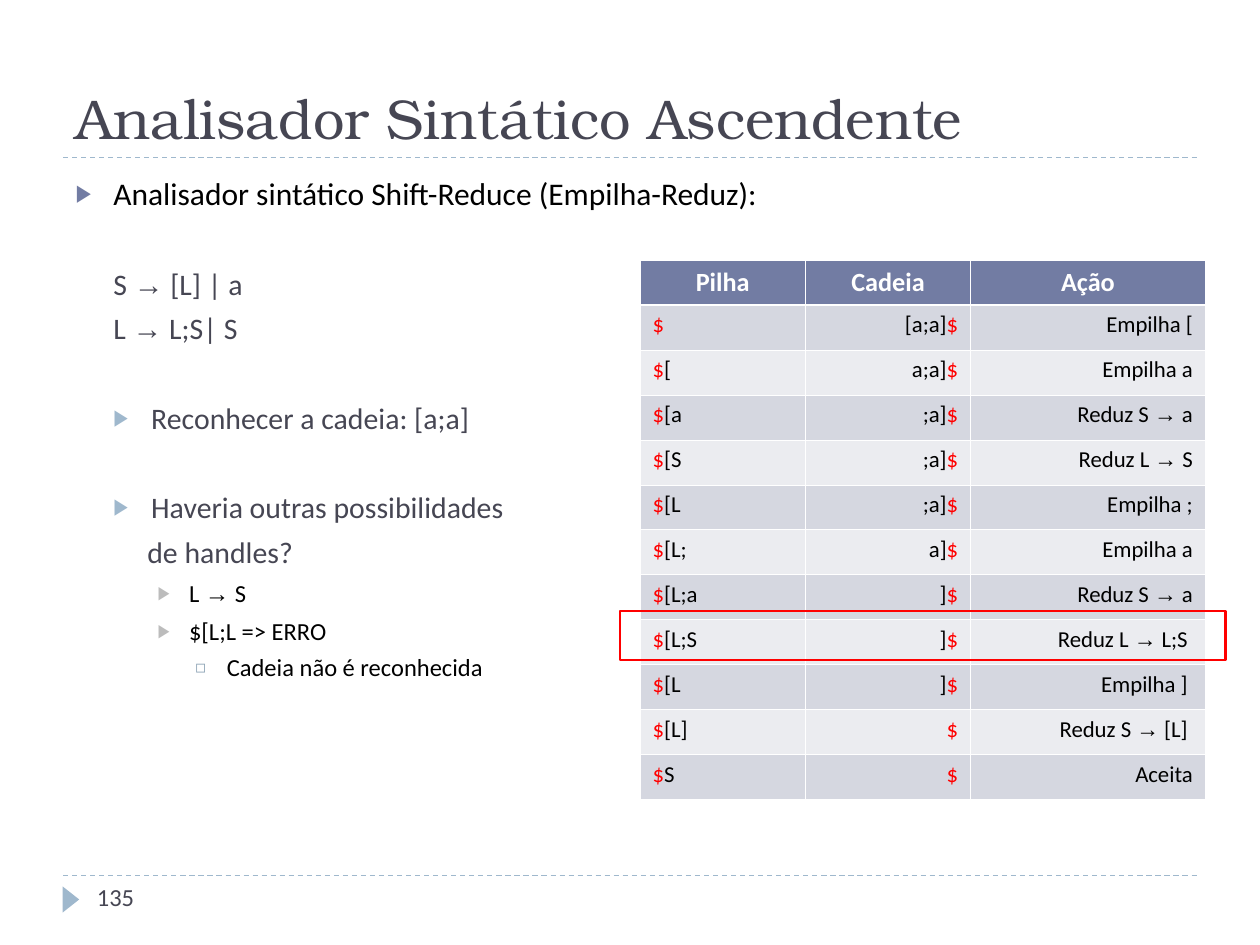
"""Build the slide on the ascending (shift-reduce) parser."""
import dataclasses
import itertools

import lxml.etree
import pptx
import pptx.dml.color
import pptx.enum.dml
import pptx.enum.shapes
import pptx.enum.text
import pptx.oxml.ns
import pptx.util

Pt = pptx.util.Pt
Align = pptx.enum.text.PP_ALIGN
Anchor = pptx.enum.text.MSO_ANCHOR
Shape = pptx.enum.shapes.MSO_SHAPE


@dataclasses.dataclass(frozen=True)
class Theme:
    serif: str = "TeX Gyre Bonum"
    sans: str = "Calibri"
    arrow: str = "Arial"
    ink: str = "464653"
    black: str = "000000"
    white: str = "FFFFFF"
    red: str = "FF0000"
    head: str = "727CA3"
    sky: str = "9FB8CD"
    gray: str = "BCBCBC"
    steel: str = "8BA2B4"
    bands: tuple = ("D5D7E0", "EBECF0")
    title: int = 32
    lead: int = 18
    item: int = 17
    small: int = 14
    header: int = 15
    cell: int = 13


T = Theme()

LIST = [
    ("Analisador sintático Shift-Reduce (Empilha-Reduz):",
     dict(level=0, left=21.6, hang=21.6, size=T.lead, color=T.black, mark=("▶", T.head, 76))),
    ("S → [L] | a", dict(left=21.6, before=30.75)),
    ("L → L;S| S", dict(left=21.6)),
    ("Reconhecer a cadeia: [a;a]",
     dict(left=43.2, hang=21.6, before=30.75, mark=("▶", T.sky, 76))),
    ("Haveria outras possibilidades",
     dict(left=43.2, hang=21.6, before=30.75, mark=("▶", T.sky, 76))),
    ("de handles?", dict(left=41)),
    ("L → S",
     dict(level=2, left=64.8, hang=18, size=T.small, color=T.black, mark=("▶", T.gray, 76))),
    ("$[L;L => ERRO",
     dict(level=2, left=64.8, hang=18, size=T.small, color=T.black, mark=("▶", T.gray, 76))),
    ("Cadeia não é reconhecida",
     dict(level=3, left=86.4, hang=18, before=4, size=T.small, color=T.black,
          mark=("◻", T.steel, 70))),
]

HEADS = ("Pilha", "Cadeia", "Ação")
STEPS = [
    ("$", "[a;a]$", "Empilha ["),
    ("$[", "a;a]$", "Empilha a"),
    ("$[a", ";a]$", "Reduz S → a"),
    ("$[S", ";a]$", "Reduz L → S"),
    ("$[L", ";a]$", "Empilha ;"),
    ("$[L;", "a]$", "Empilha a"),
    ("$[L;a", "]$", "Reduz S → a"),
    ("$[L;S", "]$", "Reduz L → L;S "),
    ("$[L", "]$", "Empilha ] "),
    ("$[L]", "$", "Reduz S → [L] "),
    ("$S", "$", "Aceita"),
]


def rgb(code):
    """Turn a hex code into a colour."""
    return pptx.dml.color.RGBColor.from_string(code)


def node(root, tag, **attrs):
    """Add a drawing element under root."""
    return lxml.etree.SubElement(root, pptx.oxml.ns.qn(tag), attrs)


def write(para, text, font=T.sans, size=T.item, color=T.ink, bold=False, align=None, end=None):
    """Fill a paragraph, giving arrows their own font and end signs their own colour."""
    para.alignment = align
    for sign, part in itertools.groupby(text, lambda c: c if c in "→$" else ""):
        run = para.add_run()
        run.text = "".join(part)
        run.font.name = T.arrow if sign == "→" else font
        run.font.size = Pt(size)
        run.font.bold = bold
        run.font.color.rgb = rgb(end if end and sign == "$" else color)


def place(shape, left, top, width, height):
    """Move and size a shape."""
    shape.left, shape.top = Pt(left), Pt(top)
    shape.width, shape.height = Pt(width), Pt(height)


def entry(para, text, level=1, left=0, hang=0, before=5, mark=None, **form):
    """Write one list entry with its indent, spacing and bullet."""
    para.level = level
    para.space_before = Pt(before)
    para.line_spacing = 1.0
    props = para._p.get_or_add_pPr()
    props.set("marL", str(Pt(left)))
    props.set("indent", str(-Pt(hang)))
    if mark:
        sign, color, scale = mark
        node(node(props, "a:buClr"), "a:srgbClr", val=color)
        node(props, "a:buSzPct", val=str(scale * 1000))
        node(props, "a:buFont", typeface=T.arrow)
        node(props, "a:buChar", char=sign)
    else:
        node(props, "a:buNone")
    write(para, text, **form)


def fill_list(body):
    """Put the list into the body placeholder."""
    place(body, 36, 95.75, 579, 395)
    frame = body.text_frame
    frame.auto_size = pptx.enum.text.MSO_AUTO_SIZE.NONE
    frame.vertical_anchor = Anchor.TOP
    for i, (text, form) in enumerate(LIST):
        para = frame.add_paragraph() if i else frame.paragraphs[0]
        entry(para, text, **({} if i else {"before": 0}), **form)


def rule(slide, y):
    """Draw a dashed line across the slide."""
    line = slide.shapes.add_connector(
        pptx.enum.shapes.MSO_CONNECTOR.STRAIGHT, Pt(36), Pt(y), Pt(684), Pt(y))
    line.line.color.rgb = rgb(T.sky)
    line.line.width = Pt(0.75)
    line.line.dash_style = pptx.enum.dml.MSO_LINE.DASH
    node(line._element.spPr, "a:effectLst")


def shape(slide, kind, box, fill=None, line=None, turn=0):
    """Add a preset shape with an optional fill and outline."""
    item = slide.shapes.add_shape(kind, *map(Pt, box))
    item.shadow.inherit = False
    item.rotation = turn
    if fill:
        item.fill.solid()
        item.fill.fore_color.rgb = rgb(fill)
    else:
        item.fill.background()
    if line:
        item.line.color.rgb = rgb(line)
        item.line.width = Pt(1.5)
    else:
        item.line.fill.background()


def paint(cell, fill, top, base):
    """Give a cell its white borders and fill."""
    props = cell._tc.get_or_add_tcPr()
    for side, width in zip("LRTB", (0.45, 0.45, top, base)):
        edge = node(props, f"a:ln{side}", w=str(Pt(width)))
        node(node(edge, "a:solidFill"), "a:srgbClr", val=T.white)
    cell.fill.solid()
    cell.fill.fore_color.rgb = rgb(fill)


def trace(slide):
    """Add the table of parsing steps."""
    rows = [HEADS, *STEPS]
    widths, high = (94.5, 94.5, 134), 25.72
    table = slide.shapes.add_table(len(rows), len(HEADS), Pt(365.75), Pt(148.5),
                                   Pt(sum(widths)), Pt(high * len(rows))).table
    for col, width in zip(table.columns, widths):
        col.width = Pt(width)
    aligns = (Align.LEFT, Align.RIGHT, Align.RIGHT)
    for r, row in enumerate(rows):
        table.rows[r].height = Pt(high)
        for c, text in enumerate(row):
            cell = table.cell(r, c)
            para = cell.text_frame.paragraphs[0]
            paint(cell, T.bands[(r - 1) % 2] if r else T.head,
                  1.47 if r == 1 else 0.45, 0.45 if r else 1.47)
            if r:
                write(para, text, size=T.cell, color=T.black, align=aligns[c], end=T.red)
            else:
                write(para, text, size=T.header, color=T.white, bold=True, align=Align.CENTER)


def main():
    """Build and save the slide."""
    deck = pptx.Presentation()
    deck.slide_width, deck.slide_height = Pt(720), Pt(540)
    slide = deck.slides.add_slide(deck.slide_layouts[1])
    rule(slide, 500.5)
    rule(slide, 90)
    shape(slide, Shape.ISOSCELES_TRIANGLE, (33, 509.25, 15, 9.5), fill=T.sky, turn=90)
    title, body = slide.placeholders
    place(title, 36, 12.25, 648, 77.75)
    title.text_frame.auto_size = pptx.enum.text.MSO_AUTO_SIZE.NONE
    title.text_frame.vertical_anchor = Anchor.BOTTOM
    write(title.text_frame.paragraphs[0], "Analisador Sintático Ascendente",
          font=T.serif, size=T.title, align=Align.LEFT)
    fill_list(body)
    page = slide.shapes.add_textbox(Pt(48.25), Pt(500.5), Pt(156), Pt(29)).text_frame
    page.word_wrap = True
    write(page.paragraphs[0], "135", size=T.small)
    trace(slide)
    shape(slide, Shape.RECTANGLE, (354.25, 349.25, 346, 28), line=T.red)
    deck.save("out.pptx")


if __name__ == "__main__":
    main()
